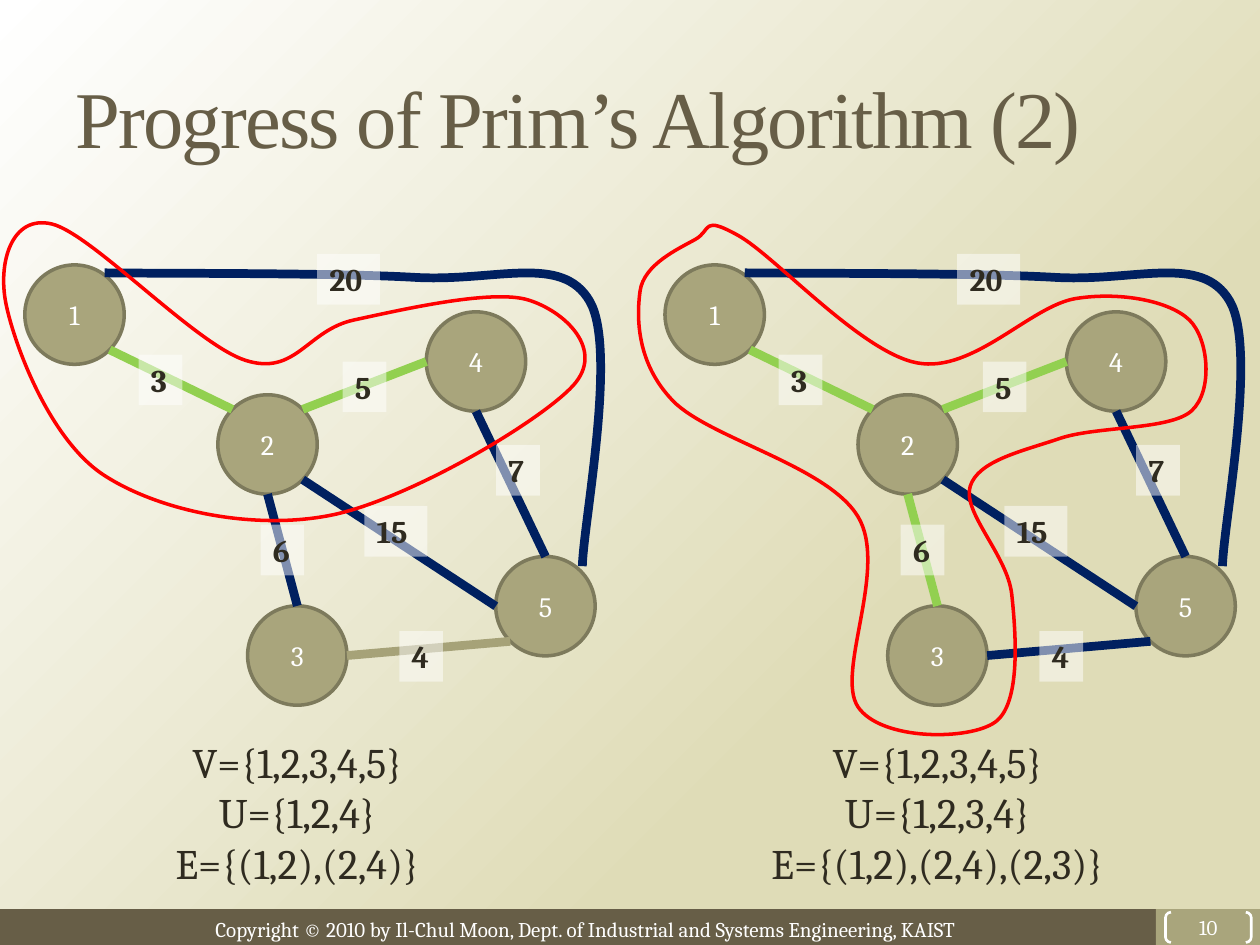
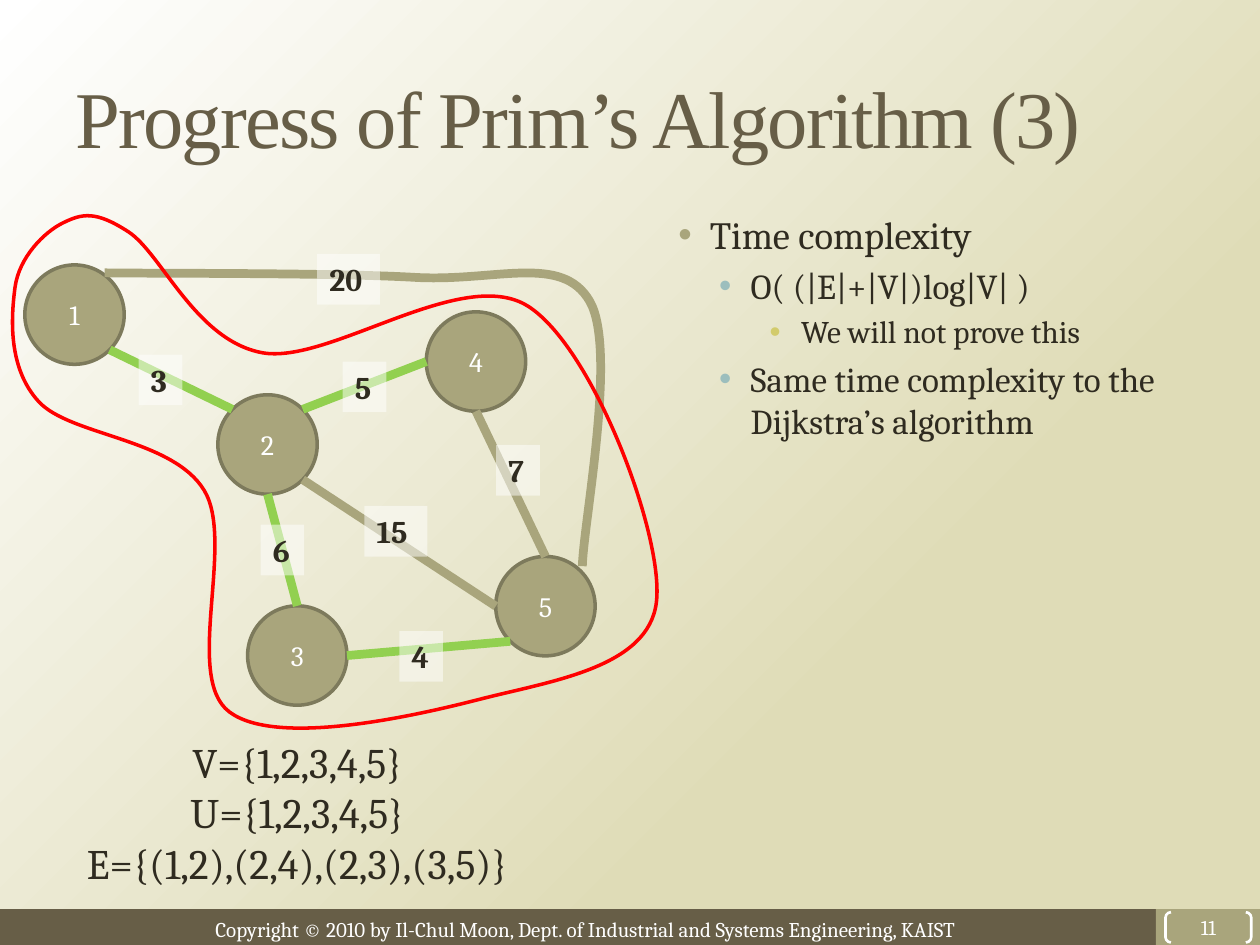
"""Builds two slides that trace Prim's algorithm on a weighted graph."""
from math import cos, pi, sin

from lxml import etree
from pptx import Presentation
from pptx.dml.color import RGBColor
from pptx.enum.shapes import MSO_CONNECTOR, MSO_SHAPE
from pptx.enum.text import MSO_ANCHOR, PP_ALIGN
from pptx.oxml.ns import qn
from pptx.util import Pt

LEFT, CENTER = PP_ALIGN.LEFT, PP_ALIGN.CENTER
TOP, MIDDLE = MSO_ANCHOR.TOP, MSO_ANCHOR.MIDDLE
RECTANGLE, OVAL, BRACKETS = MSO_SHAPE.RECTANGLE, MSO_SHAPE.OVAL, MSO_SHAPE.DOUBLE_BRACKET
STRAIGHT = MSO_CONNECTOR.STRAIGHT

BROWN = RGBColor(0x67, 0x5E, 0x47)
OLIVE = RGBColor(0xA9, 0xA5, 0x7C)
DARK_OLIVE = RGBColor(0x7D, 0x7A, 0x5C)
SOFT_OLIVE = RGBColor(0xA6, 0xA2, 0x78)
SAND = RGBColor(0xDF, 0xDC, 0xB7)
INK = RGBColor(0x2F, 0x2B, 0x20)
WHITE = RGBColor(0xFF, 0xFF, 0xFF)
NAVY = RGBColor(0x00, 0x20, 0x60)
GREEN = RGBColor(0x92, 0xD0, 0x50)
RED = RGBColor(0xFF, 0x00, 0x00)
TEAL = RGBColor(0x9C, 0xBE, 0xBD)
YELLOW = RGBColor(0xD2, 0xCB, 0x6C)

BODY_FONT, TITLE_FONT, BULLET_FONT = "Cambria", "Times New Roman", "Arial"
COPYRIGHT = "Copyright © 2010 by Il-Chul Moon, Dept. of Industrial and Systems Engineering, KAIST"

NODE_RADIUS = 28.4
SECOND_GRAPH = 365.8
NODES = {1: (42.6, 179.8), 2: (152.9, 254), 4: (272, 206.6), 3: (169.9, 374.6), 5: (311.7, 346.4)}
EDGE_SITES = {
    3: ((1, 5), (2, 1)),
    5: ((2, 7), (4, 2)),
    15: ((2, 5), (5, 2)),
    6: ((2, 4), (3, 0)),
    4: ((3, 6), (5, 3)),
    7: ((4, 4), (5, 0)),
}
LONG_EDGE = [(59.8, 155.9), (236.9, 158.5), (337, 172.1), (332.8, 323.5)]
LONG_WEIGHT = 20
WEIGHT_LABELS = {3: (79.2, 202.6), 6: (148.9, 299.8), 15: (208.2, 289.1), 4: (228.2, 360.6),
                 5: (195.8, 206.6), 7: (283.5, 254.2), 20: (181.2, 145.1)}

SLIDES = [
    {
        "title": "Progress of Prim’s Algorithm (2)",
        "number": "10",
        "graphs": [
            {
                "left": 0, "chosen": {3, 5}, "other": NAVY, "special": {4: SOFT_OLIVE},
                "sets": ["V={1,2,3,4,5}", "U={1,2,4}", "E={(1,2),(2,4)}"],
                "ring": [(29.5, 128), (3.5, 174), (59.3, 271.5), (188, 294.7),
                         (327.4, 220.5), (301.7, 171.4), (202.3, 182.9), (140.4, 206)],
            },
            {
                "left": SECOND_GRAPH, "chosen": {3, 5, 6}, "other": NAVY, "special": {},
                "sets": ["V={1,2,3,4,5}", "U={1,2,3,4}", "E={(1,2),(2,4),(2,3)}"],
                "ring": [(397.4, 136.8), (365.8, 166.3), (384.5, 229), (490.3, 295.2),
                         (490.3, 403.9), (568.8, 412.6), (578.2, 339.8), (554.4, 278),
                         (605.5, 250.6), (681, 234.7), (679.7, 182.9), (614.9, 170.6),
                         (524.2, 207.4), (421.9, 134.6)],
            },
        ],
        "bullets": [],
    },
    {
        "title": "Progress of Prim’s Algorithm (3)",
        "number": "11",
        "graphs": [
            {
                "left": 0, "chosen": {3, 5, 6, 4}, "other": OLIVE, "special": {},
                "sets": ["V={1,2,3,4,5}", "U={1,2,3,4,5}", "E={(1,2),(2,4),(2,3),(3,5)}"],
                "ring": [(36, 127.4), (8.6, 164.2), (22.3, 229.7), (116.6, 280.1),
                         (131, 406.8), (274.3, 399.6), (375.1, 344.2), (301.7, 175),
                         (149.8, 201.6), (73.4, 132.5)],
            },
        ],
        "bullets": [
            (0, "Time complexity"),
            (1, "O( (|E|+|V|)log|V| )"),
            (2, "We will not prove this"),
            (1, "Same time complexity to the Dijkstra’s algorithm"),
        ],
    },
]
BULLET_LEVELS = [(27, 22, OLIVE), (50.4, 20, TEAL), (79.2, 18, YELLOW)]
BULLET_HANG = 18


def write(shape, lines, size, color, font=BODY_FONT, bold=False, align=LEFT, anchor=TOP, wrap=True):
    frame = shape.text_frame
    frame.text = "\n".join(lines)
    frame.word_wrap = wrap
    frame.vertical_anchor = anchor
    for paragraph in frame.paragraphs:
        paragraph.alignment = align
        for run in paragraph.runs:
            run.font.name, run.font.size, run.font.bold = font, Pt(size), bold
            run.font.color.rgb = color
    return frame


def add_text(slide, box, lines, size, color, **style):
    return write(slide.shapes.add_textbox(*map(Pt, box)), lines, size, color, **style)


def paint(shape, fill=None, line=None, width=1):
    shape.shadow.inherit = False
    if fill is None:
        shape.fill.background()
    else:
        shape.fill.solid()
        shape.fill.fore_color.rgb = fill
    if line is None:
        shape.line.fill.background()
    else:
        shape.line.color.rgb, shape.line.width = line, Pt(width)


def add_preset(slide, preset, box, **colors):
    shape = slide.shapes.add_shape(preset, *map(Pt, box))
    paint(shape, **colors)
    return shape


def smooth_segments(knots, closed):
    count = len(knots)

    def knot(index):
        return knots[index % count if closed else min(max(index, 0), count - 1)]

    def handle(index, side):
        return tuple(here + side * (after - before) / 6 for before, here, after
                     in zip(knot(index - 1), knot(index), knot(index + 1)))

    return [(knot(i), handle(i, 1), handle(i + 1, -1), knot(i + 1))
            for i in range(count if closed else count - 1)]


def curve_range(segments, axis):
    values = []
    for a, b, c, d in ([point[axis] for point in segment] for segment in segments):
        for t in (step / 20 for step in range(21)):
            s = 1 - t
            values.append(a * s**3 + 3 * b * s**2 * t + 3 * c * s * t**2 + d * t**3)
    return min(values), max(values)


def add_curve(slide, knots, color, width, closed=False):
    segments = smooth_segments(knots, closed)
    (left, right), (top, bottom) = (curve_range(segments, axis) for axis in (0, 1))
    builder = slide.shapes.build_freeform(Pt(left), Pt(top))
    builder.add_line_segments([(Pt(right), Pt(bottom))], close=False)
    shape = builder.convert_to_shape()
    outline = next(shape._element.iter(qn("a:moveTo"))).getparent()
    for child in list(outline):
        outline.remove(child)

    def draw(command, points):
        parent = etree.SubElement(outline, qn(command))
        for x, y in points:
            point = etree.SubElement(parent, qn("a:pt"))
            point.set("x", str(Pt(x - left)))
            point.set("y", str(Pt(y - top)))

    draw("a:moveTo", knots[:1])
    for segment in segments:
        draw("a:cubicBezTo", segment[1:])
    if closed:
        draw("a:close", [])
    paint(shape, line=color, width=width)


def node_site(node, site, left):
    x, y = NODES[node]
    angle = site * pi / 4
    return left + x - NODE_RADIUS * sin(angle), y - NODE_RADIUS * cos(angle)


def add_edge(slide, start, end, color):
    edge = slide.shapes.add_connector(STRAIGHT, *map(Pt, start + end))
    edge.line.color.rgb, edge.line.width = color, Pt(5)
    etree.SubElement(edge._element.spPr, qn("a:effectLst"))


def add_weight(slide, weight, left):
    x, y = WEIGHT_LABELS[weight]
    label = add_preset(slide, RECTANGLE, (left + x, y, 25 if weight < 10 else 36, 29), fill=WHITE)
    color = next(label._element.spPr.iter(qn("a:srgbClr")))
    etree.SubElement(color, qn("a:alpha")).set("val", "50000")
    write(label, [str(weight)], 18, INK, bold=True, wrap=False)


def add_graph(slide, graph):
    left = graph["left"]
    for name, (x, y) in NODES.items():
        box = (left + x - NODE_RADIUS, y - NODE_RADIUS, 2 * NODE_RADIUS, 2 * NODE_RADIUS)
        node = add_preset(slide, OVAL, box, fill=OLIVE, line=DARK_OLIVE, width=2)
        write(node, [str(name)], 16, WHITE, align=CENTER, anchor=MIDDLE)
    for weight, (start, end) in EDGE_SITES.items():
        color = GREEN if weight in graph["chosen"] else graph["special"].get(weight, graph["other"])
        add_edge(slide, node_site(*start, left), node_site(*end, left), color)
    for weight in EDGE_SITES:
        add_weight(slide, weight, left)
    add_curve(slide, [(left + x, y) for x, y in LONG_EDGE], graph["other"], 5)
    add_weight(slide, LONG_WEIGHT, left)
    add_text(slide, (left + 32, 417.3, 276, 94.3), graph["sets"], 24, INK, align=CENTER, wrap=False)


def add_bullets(slide, bullets):
    frame = add_text(slide, (371.5, 117, 329, 396.7), [text for _, text in bullets], 20, INK)
    for paragraph, (level, _) in zip(frame.paragraphs, bullets):
        indent, size, color = BULLET_LEVELS[level]
        paragraph.level = level
        paragraph.space_before = Pt(size * 0.2)
        paragraph.runs[0].font.size = Pt(size)
        properties = paragraph._p.get_or_add_pPr()
        properties.set("marL", str(Pt(indent)))
        properties.set("indent", str(-Pt(BULLET_HANG)))
        bullet_color = etree.SubElement(properties, qn("a:buClr"))
        etree.SubElement(bullet_color, qn("a:srgbClr")).set("val", str(color))
        etree.SubElement(properties, qn("a:buFont")).set("typeface", BULLET_FONT)
        etree.SubElement(properties, qn("a:buChar")).set("char", "•")


def add_frame(slide, title, number):
    background = slide.background.fill
    background.gradient()
    background.gradient_angle = 135
    for stop, position, color in zip(background.gradient_stops, (0.31, 1), (SAND, WHITE)):
        stop.position, stop.color.rgb = position, color
    add_preset(slide, RECTANGLE, (0, 519.5, 720, 20.5), fill=BROWN)
    add_preset(slide, RECTANGLE, (660.5, 519.5, 59.5, 20.5), fill=OLIVE)
    add_text(slide, (116, 520.2, 461.5, 21.6), [COPYRIGHT], 12, WHITE)
    frame = add_text(slide, (36, 21.6, 664, 89.3), [title], 46, BROWN, font=TITLE_FONT, anchor=MIDDLE)
    frame.paragraphs[0].runs[0].font._element.set("spc", "-100")
    brackets = add_preset(slide, BRACKETS, (666, 521.3, 49, 17.3), line=WHITE, width=1.5)
    brackets.adjustments[0] = 0.18
    frame = write(brackets, [number], 12, WHITE, align=CENTER, anchor=MIDDLE)
    frame.margin_left = frame.margin_right = frame.margin_top = frame.margin_bottom = 0


def main():
    presentation = Presentation()
    presentation.slide_width, presentation.slide_height = Pt(720), Pt(540)
    for content in SLIDES:
        slide = presentation.slides.add_slide(presentation.slide_layouts[6])
        add_frame(slide, content["title"], content["number"])
        for graph in content["graphs"]:
            add_graph(slide, graph)
        for graph in content["graphs"]:
            add_curve(slide, graph["ring"], RED, 2, closed=True)
        if content["bullets"]:
            add_bullets(slide, content["bullets"])
    presentation.save("out.pptx")


if __name__ == "__main__":
    main()
